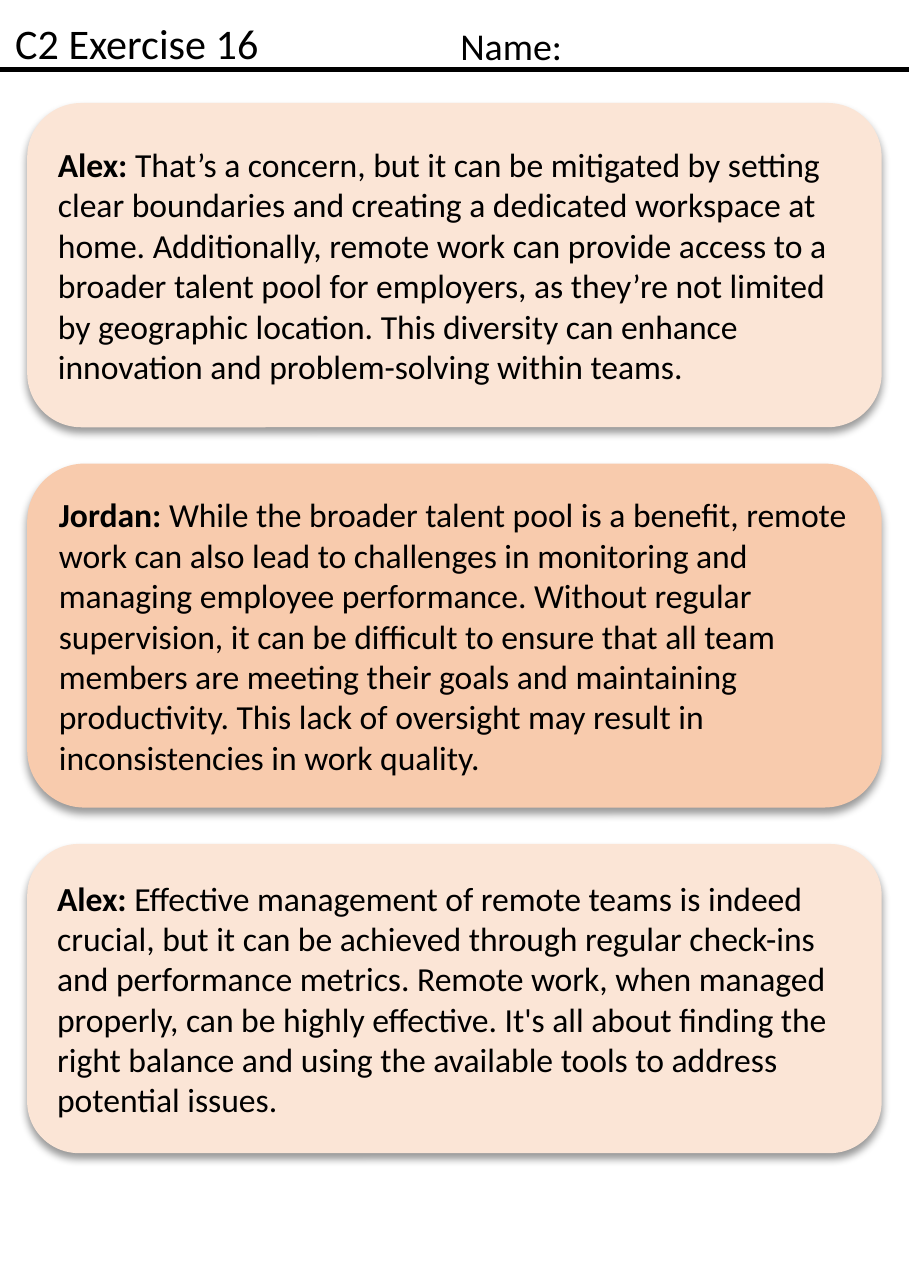
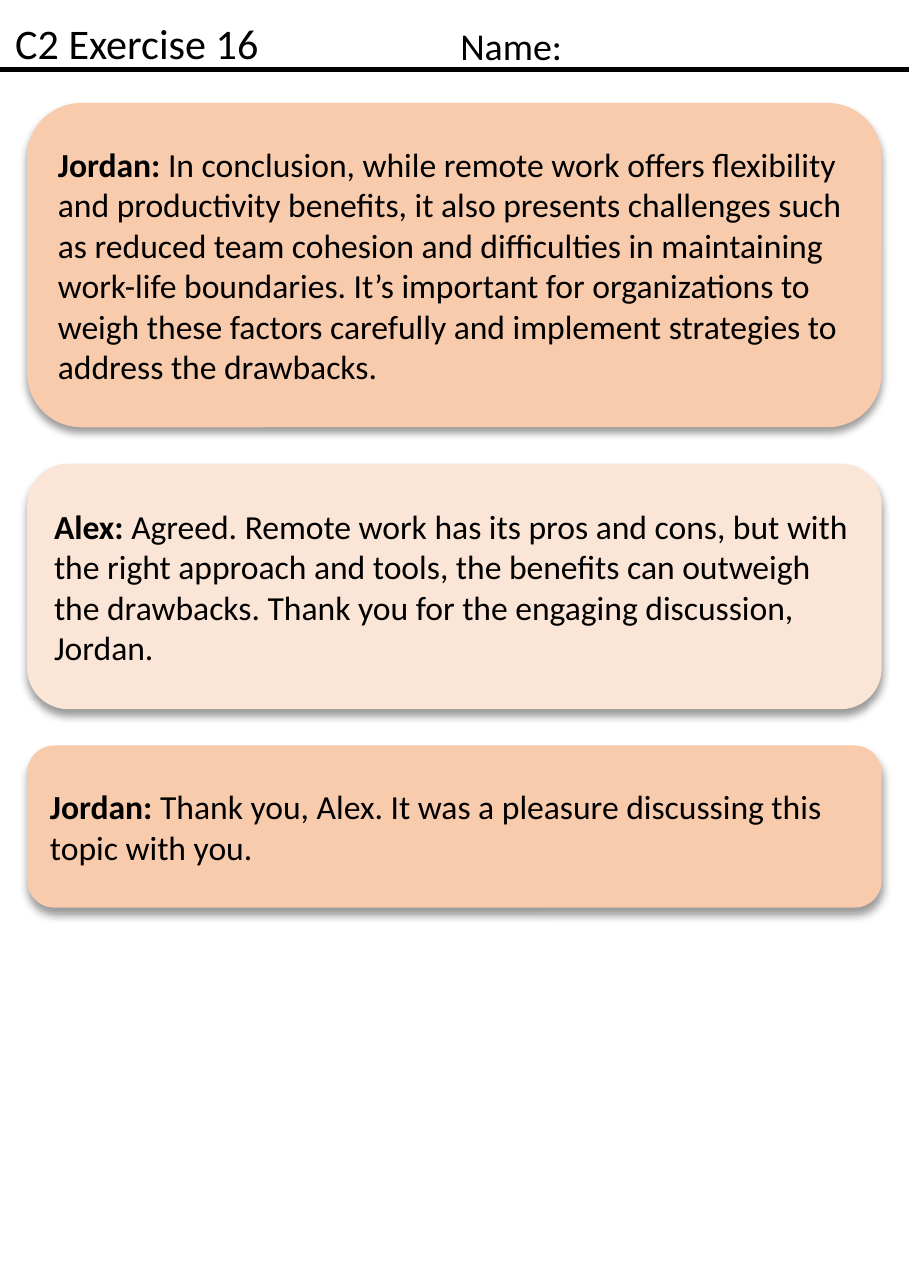
from dataclasses import dataclass

from lxml.etree import SubElement
from pptx import Presentation
from pptx.dml.color import RGBColor
from pptx.enum.shapes import MSO_CONNECTOR, MSO_SHAPE
from pptx.enum.text import MSO_ANCHOR, MSO_AUTO_SIZE, PP_ALIGN
from pptx.oxml.ns import qn
from pptx.util import Inches, Pt


@dataclass(frozen=True)
class Theme:
    font: str = "Calibri"
    ink: str = "000000"
    title: int = 20
    name: int = 18
    body: int = 16
    rule: float = 2.25


THEME = Theme()
SPEAKER_FILLS = {"Alex": "FBE5D6", "Jordan": "F8CBAD"}

WIDTH, HEIGHT = Inches(6), Inches(8.5)
COL, ROW = WIDTH // 100, HEIGHT // 850
HEADER = (0, 0, 100, 56)
DIALOGUE = (3, 68, 94, 700)
GAP = 24

# Each turn: speaker, bubble height in rows, words
PAGES = [
    [
        ("Alex", 214, "That’s a concern, but it can be mitigated by setting clear "
         "boundaries and creating a dedicated workspace at home. Additionally, remote "
         "work can provide access to a broader talent pool for employers, as they’re "
         "not limited by geographic location. This diversity can enhance innovation "
         "and problem-solving within teams."),
        ("Jordan", 227, "While the broader talent pool is a benefit, remote work can "
         "also lead to challenges in monitoring and managing employee performance. "
         "Without regular supervision, it can be difficult to ensure that all team "
         "members are meeting their goals and maintaining productivity. This lack of "
         "oversight may result in inconsistencies in work quality."),
        ("Alex", 204, "Effective management of remote teams is indeed crucial, but it "
         "can be achieved through regular check-ins and performance metrics. Remote "
         "work, when managed properly, can be highly effective. It's all about finding "
         "the right balance and using the available tools to address potential issues."),
    ],
    [
        ("Jordan", 214, "In conclusion, while remote work offers flexibility and "
         "productivity benefits, it also presents challenges such as reduced team "
         "cohesion and difficulties in maintaining work-life boundaries. It’s important "
         "for organizations to weigh these factors carefully and implement strategies "
         "to address the drawbacks."),
        ("Alex", 162, "Agreed. Remote work has its pros and cons, but with the right "
         "approach and tools, the benefits can outweigh the drawbacks. Thank you for "
         "the engaging discussion, Jordan."),
        ("Jordan", 107, "Thank you, Alex. It was a pleasure discussing this topic "
         "with you."),
    ],
]


def grid(x, y, w, h):
    return x * COL, y * ROW, w * COL, h * ROW


def format_text(shape, size, anchor):
    tf = shape.text_frame
    tf.word_wrap = True
    tf.vertical_anchor = anchor
    for p in tf.paragraphs:
        p.alignment = PP_ALIGN.LEFT
        for r in p.runs:
            r.font.name = THEME.font
            r.font.size = Pt(size)
            r.font.color.rgb = RGBColor.from_string(THEME.ink)


def add_soft_shadow(shape):
    shape.shadow.inherit = False
    effects = shape._element.spPr.find(qn("a:effectLst"))
    shadow = SubElement(effects, qn("a:outerShdw"), blurRad=str(Pt(4)),
                        dist=str(Pt(3)), dir="5400000", algn="t", rotWithShape="0")
    color = SubElement(shadow, qn("a:srgbClr"), val=THEME.ink)
    SubElement(color, qn("a:alpha"), val="40000")


def add_header(s, box):
    x, y, w, h = box
    title = s.shapes.title
    title.left, title.top, title.width, title.height = grid(*box)
    title.text_frame.text = "C2 Exercise 16"
    title.text_frame.auto_size = MSO_AUTO_SIZE.NONE
    format_text(title, THEME.title, MSO_ANCHOR.MIDDLE)

    name = s.shapes.add_textbox(*grid(x + 49, y + 10, w // 2, 40))
    name.text_frame.text = "Name:"
    name.text_frame.auto_size = MSO_AUTO_SIZE.SHAPE_TO_FIT_TEXT
    format_text(name, THEME.name, MSO_ANCHOR.TOP)

    rule_y = (y + h - 10) * ROW
    rule = s.shapes.add_connector(MSO_CONNECTOR.STRAIGHT, x * COL, rule_y,
                                  (x + w) * COL, rule_y)
    rule.line.color.rgb = RGBColor.from_string(THEME.ink)
    rule.line.width = Pt(THEME.rule)
    SubElement(rule._element.spPr, qn("a:effectLst"))


def add_bubble(s, box, speaker, words):
    sp = s.shapes.add_shape(MSO_SHAPE.ROUNDED_RECTANGLE, *grid(*box))
    sp.fill.solid()
    sp.fill.fore_color.rgb = RGBColor.from_string(SPEAKER_FILLS[speaker])
    sp.line.fill.background()
    add_soft_shadow(sp)
    p = sp.text_frame.paragraphs[0]
    for text, bold in ((f"{speaker}: ", True), (words, False)):
        r = p.add_run()
        r.text = text
        r.font.bold = bold
    format_text(sp, THEME.body, MSO_ANCHOR.MIDDLE)


def add_dialogue(s, box, turns):
    """Stack the speech bubbles down the box with equal gaps."""
    x, y, w, _ = box
    for speaker, height, words in turns:
        add_bubble(s, (x, y, w, height), speaker, words)
        y += height + GAP


def main():
    prs = Presentation()
    prs.slide_width, prs.slide_height = WIDTH, HEIGHT
    title_only = prs.slide_layouts.get_by_name("Title Only")
    for turns in PAGES:
        s = prs.slides.add_slide(title_only)
        add_header(s, HEADER)
        add_dialogue(s, DIALOGUE, turns)
    prs.save("out.pptx")


if __name__ == "__main__":
    main()
